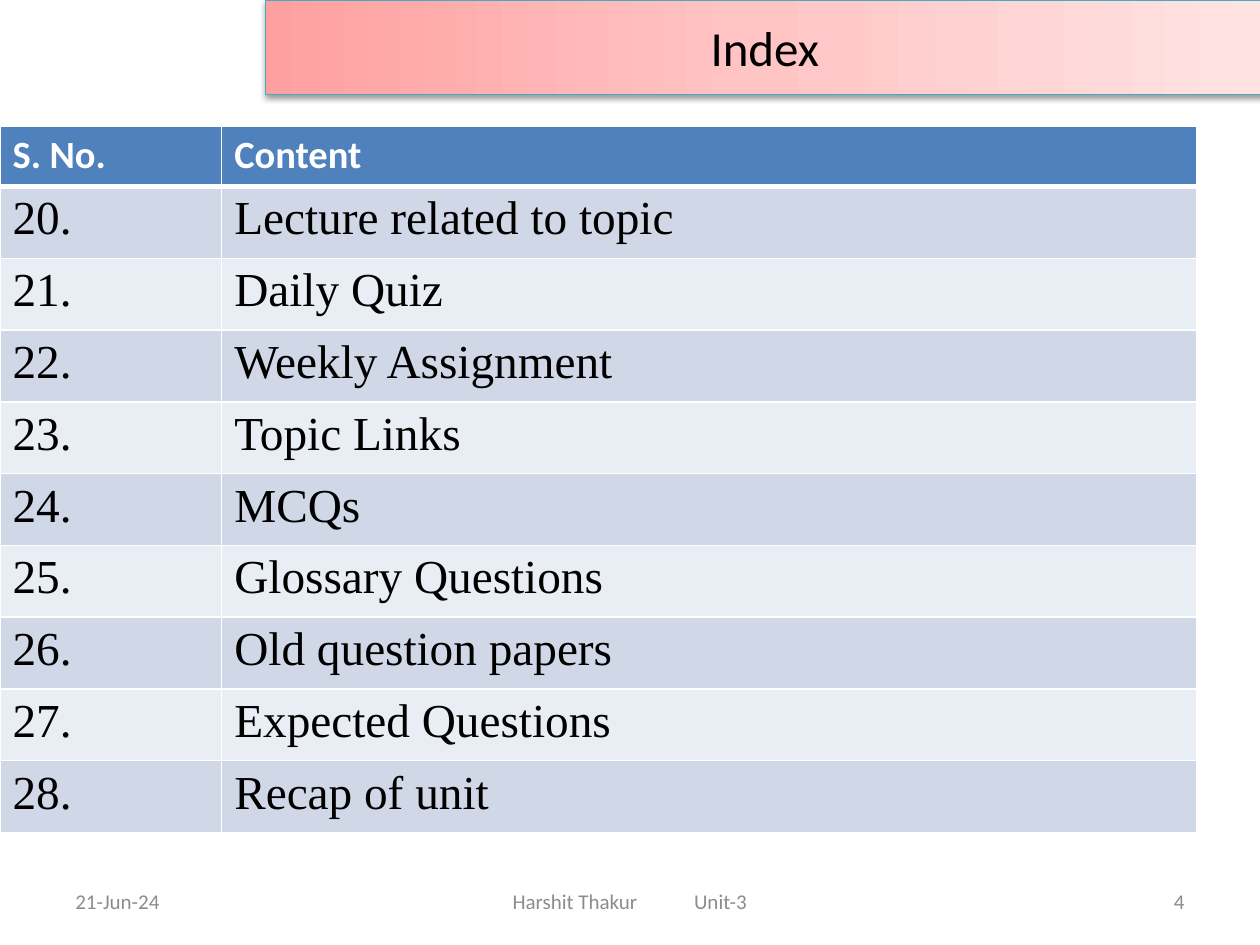
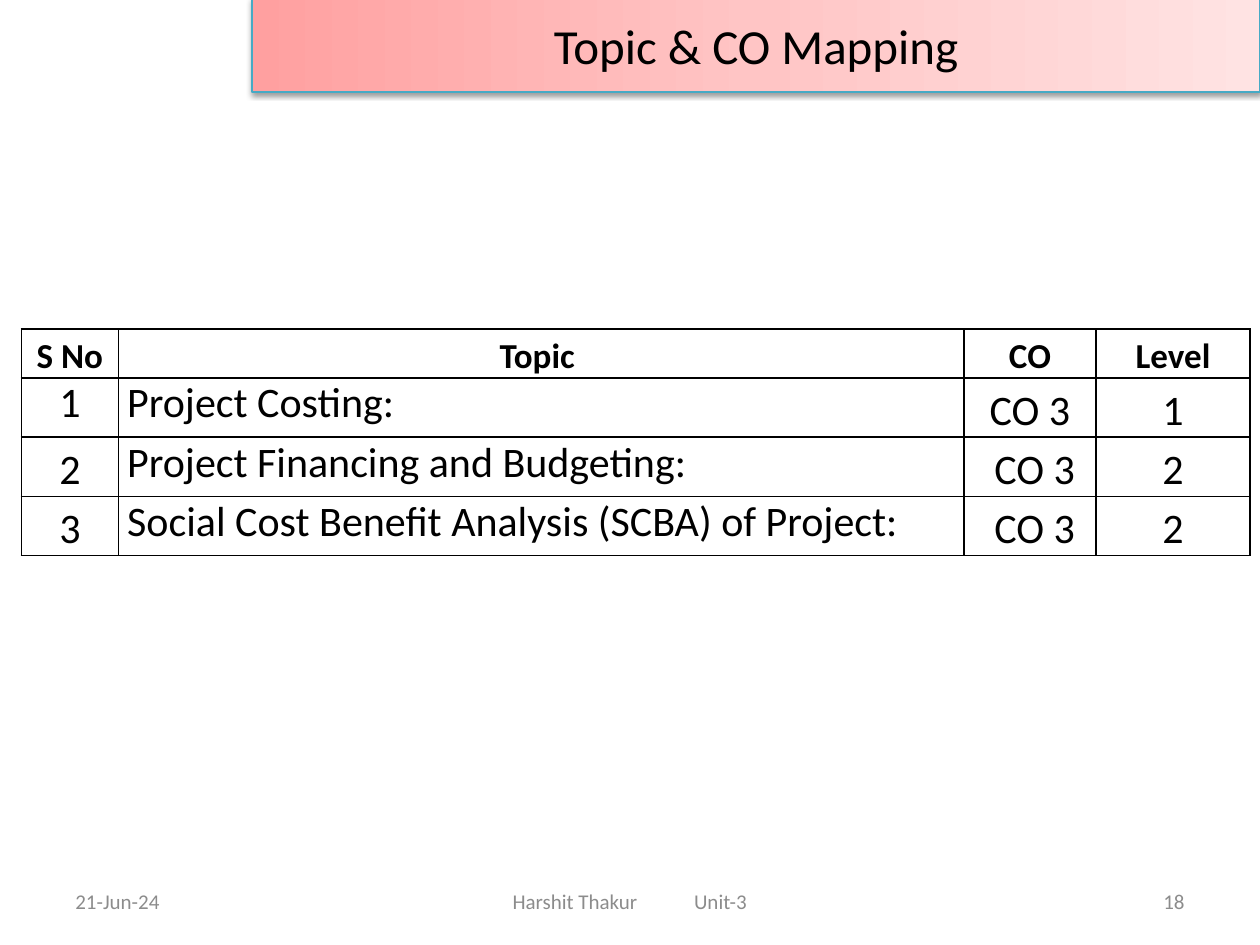
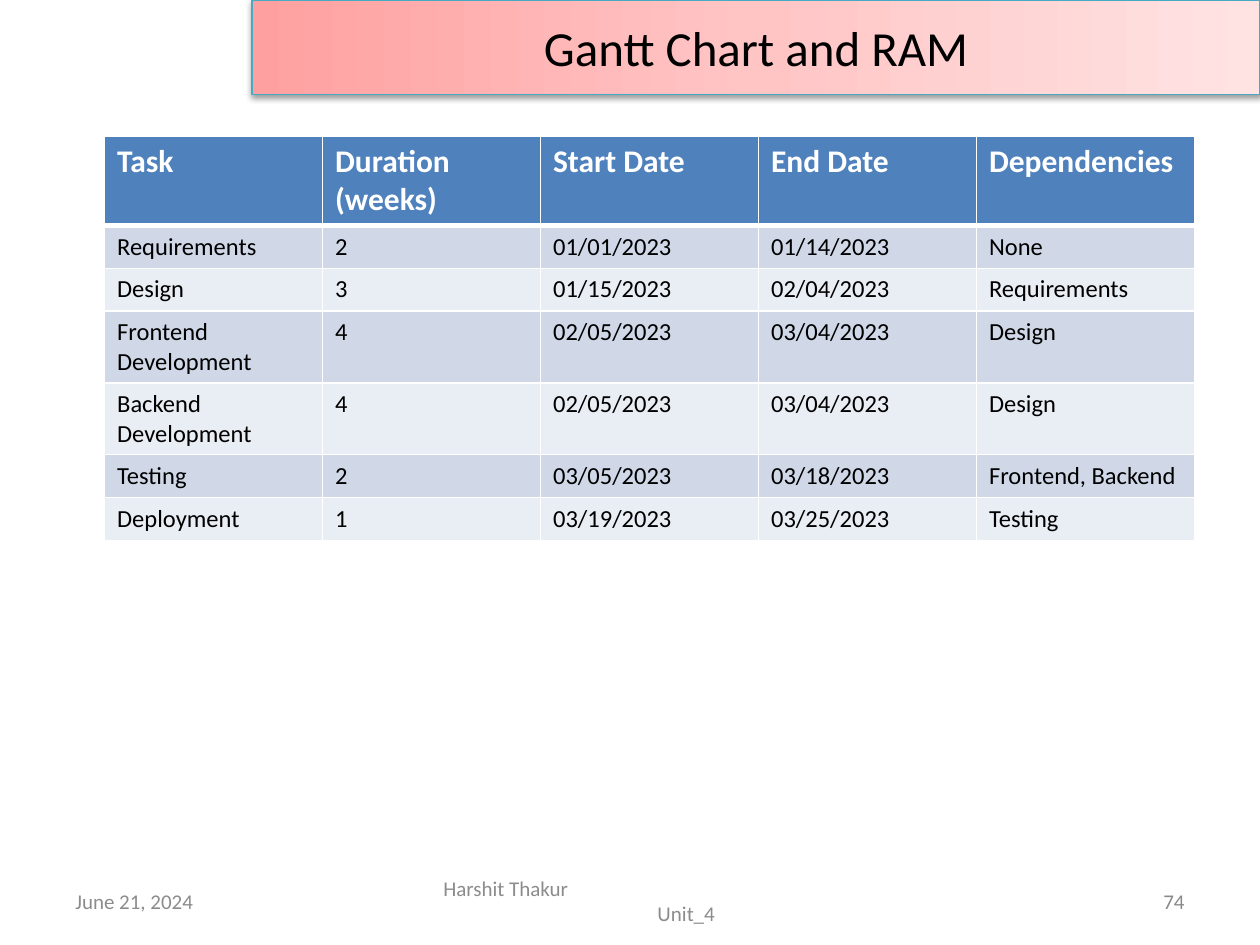
"""Build three course slides: an index, a topic mapping and a task schedule."""
from lxml.etree import SubElement as Sub
from pptx import Presentation
from pptx.dml.color import RGBColor
from pptx.enum.text import MSO_ANCHOR as Anchor, MSO_AUTO_SIZE as Fit, PP_ALIGN as Align
from pptx.oxml import parse_xml
from pptx.oxml.ns import nsdecls, qn
from pptx.util import Inches, Pt

HUE = {
    "ink": "000000", "paper": "FFFFFF", "gray": "8C8C8C", "pale": "898989",
    "head": "4F81BD", "odd": "D0D8E8", "even": "E9EDF4", "edge": "46AAC5",
    "left": "FFA0A0", "mid": "FFC5C5", "right": "FFE3E3",
}
SANS, SERIF = "Calibri", "Times New Roman"

TOPICS = ["Lecture related to topic", "Daily Quiz", "Weekly Assignment",
          "Topic Links", "MCQs", "Glossary Questions", "Old question papers",
          "Expected Questions", "Recap of unit"]
INDEX = [("S. No.", "Content")] + [(f"{n}.", t) for n, t in enumerate(TOPICS, 20)]

MAPPING = [
    ("S No", "Topic ", "CO", "Level"),
    ("1", "Project Costing: ", "CO 3", "1"),
    ("2", "Project Financing and Budgeting:", " CO 3", "2"),
    ("3", "Social Cost Benefit Analysis (SCBA) of Project:", " CO 3", "2"),
]
TIGHT = {(1, 0), (1, 1), (2, 1), (3, 1)}

TASKS = [
    ("Task", "Duration (weeks)", "Start Date", "End Date", "Dependencies"),
    ("Requirements", "2", "01/01/2023", "01/14/2023", "None"),
    ("Design", "3", "01/15/2023", "02/04/2023", "Requirements"),
    ("Frontend Development", "4", "02/05/2023", "03/04/2023", "Design"),
    ("Backend Development", "4", "02/05/2023", "03/04/2023", "Design"),
    ("Testing", "2", "03/05/2023", "03/18/2023", "Frontend, Backend"),
    ("Deployment", "1", "03/19/2023", "03/25/2023", "Testing"),
]

UNIT = (["\tHarshit Thakur\tUnit-3"], [0.55, 1.99])
PAGES = [
    dict(title="Index", band=(2.11, 0, 7.92, 0.75), date="21-Jun-24",
         foot=UNIT, num="4", tone="gray"),
    dict(title="Topic & CO Mapping", band=(2, -0.02, 8, 0.75), date="21-Jun-24",
         foot=UNIT, num="18", tone="gray"),
    dict(title="Gantt Chart and RAM", band=(2, 0, 8, 0.75), date="June 21, 2024",
         foot=(["Harshit Thakur", "\tUnit_4"], [1.7]), num="74", tone="pale"),
]


def write(par, text, size, hue="ink", face=SANS, bold=False):
    run = par.add_run()
    run.text = text
    font = run.font
    font.size, font.name, font.bold = Pt(size), face, bold
    font.color.rgb = RGBColor.from_string(HUE[hue])


def set_band(shape, text, box):
    shape.left, shape.top, shape.width, shape.height = map(Inches, box)
    stops = "".join(f'<a:gs pos="{pos}"><a:srgbClr val="{HUE[name]}"/></a:gs>'
                    for pos, name in ((0, "left"), (50000, "mid"), (100000, "right")))
    props = shape.fill._xPr
    props.append(parse_xml(f'<a:gradFill {nsdecls("a")} rotWithShape="1"><a:gsLst>{stops}'
                           '</a:gsLst><a:lin ang="0" scaled="0"/></a:gradFill>'))
    shape.line.color.rgb = RGBColor.from_string(HUE["edge"])
    shape.line.width = Pt(0.75)
    props.append(parse_xml(
        f'<a:effectLst {nsdecls("a")}><a:outerShdw blurRad="{Pt(3.1)}" dist="{Pt(1.6)}" '
        f'dir="5400000" rotWithShape="0"><a:srgbClr val="{HUE["ink"]}">'
        '<a:alpha val="38000"/></a:srgbClr></a:outerShdw></a:effectLst>'))
    frame = shape.text_frame
    frame.auto_size, frame.vertical_anchor = Fit.NONE, Anchor.MIDDLE
    par = frame.paragraphs[0]
    par.alignment = Align.CENTER
    write(par, text, 28)


def add_note(slide, left, width, lines, hue, align=Align.LEFT, tabs=()):
    box = slide.shapes.add_textbox(Inches(left), Inches(6.95), Inches(width), Inches(0.4))
    frame = box.text_frame
    frame.word_wrap, frame.vertical_anchor = True, Anchor.MIDDLE
    for n, line in enumerate(lines):
        par = frame.add_paragraph() if n else frame.paragraphs[0]
        par.alignment = align
        if tabs:
            stops = Sub(par._p.get_or_add_pPr(), qn("a:tabLst"))
            for pos in tabs:
                Sub(stops, qn("a:tab"), pos=str(Inches(pos)), algn="l")
        write(par, line, 12, hue)


def add_page(deck, page):
    slide = deck.slides.add_slide(deck.slide_layouts[5])
    set_band(slide.shapes.title, page["title"], page["band"])
    lines, tabs = page["foot"]
    add_note(slide, 0.5, 2.33, [page["date"]], "gray")
    add_note(slide, 3.42, 3.17, lines, "gray", tabs=tabs)
    add_note(slide, 7.17, 2.33, [page["num"]], page["tone"], Align.RIGHT)
    return slide


def set_edges(cell, hue, base=1):
    props = cell._tc.get_or_add_tcPr()
    for n, side in enumerate("LRTB"):
        wide = Pt(base if side == "B" else 1)
        props.insert(n, parse_xml(
            f'<a:ln{side} {nsdecls("a")} w="{wide}"><a:solidFill>'
            f'<a:srgbClr val="{HUE[hue]}"/></a:solidFill></a:ln{side}>'))


def add_grid(slide, data, left, top, cols, rows, style):
    table = slide.shapes.add_table(
        len(rows), len(cols), Inches(left), Inches(top),
        Inches(sum(cols)), Inches(sum(rows))).table
    table.first_row = table.horz_banding = False
    for col, wide in zip(table.columns, cols):
        col.width = Inches(wide)
    for row, high in zip(table.rows, rows):
        row.height = Inches(high)
    for r, line in enumerate(data):
        for c, text in enumerate(line):
            style(table.cell(r, c), r, c, text)


def banded(top, body, face=SANS):
    def style(cell, r, c, text):
        name = ("odd" if r % 2 else "even") if r else "head"
        cell.fill.solid()
        cell.fill.fore_color.rgb = RGBColor.from_string(HUE[name])
        set_edges(cell, "paper", 1 if r else 3)
        par = cell.text_frame.paragraphs[0]
        if r:
            write(par, text, body, face=face)
        else:
            write(par, text, top, "paper", bold=True)
    return style


def ruled(cell, r, c, text):
    cell.fill.background()
    set_edges(cell, "ink")
    cell.margin_left = cell.margin_right = Inches(0.07)
    cell.margin_top = cell.margin_bottom = 0
    par = cell.text_frame.paragraphs[0]
    par.alignment = Align.JUSTIFY if r and c == 1 else Align.CENTER
    if (r, c) not in TIGHT:
        par.line_spacing = 1.15
    write(par, text, 24 if r else 20, bold=not r)


def main():
    deck = Presentation()
    deck.slide_width, deck.slide_height = Inches(10), Inches(7.5)
    index, mapping, tasks = [add_page(deck, page) for page in PAGES]
    add_grid(index, INDEX, 0, 1, [1.76, 7.74], [0.48] + [0.57] * 9,
             banded(22, 27, SERIF))
    add_grid(mapping, MAPPING, 0.17, 2.61, [0.77, 6.71, 1.05, 1.22],
             [0.39] + [0.47] * 3, ruled)
    add_grid(tasks, TASKS, 0.83, 1.08, [1.73] * 5,
             [0.71, 0.34, 0.34, 0.57, 0.57, 0.34, 0.34], banded(18, 14))
    deck.save("out.pptx")


if __name__ == "__main__":
    main()
